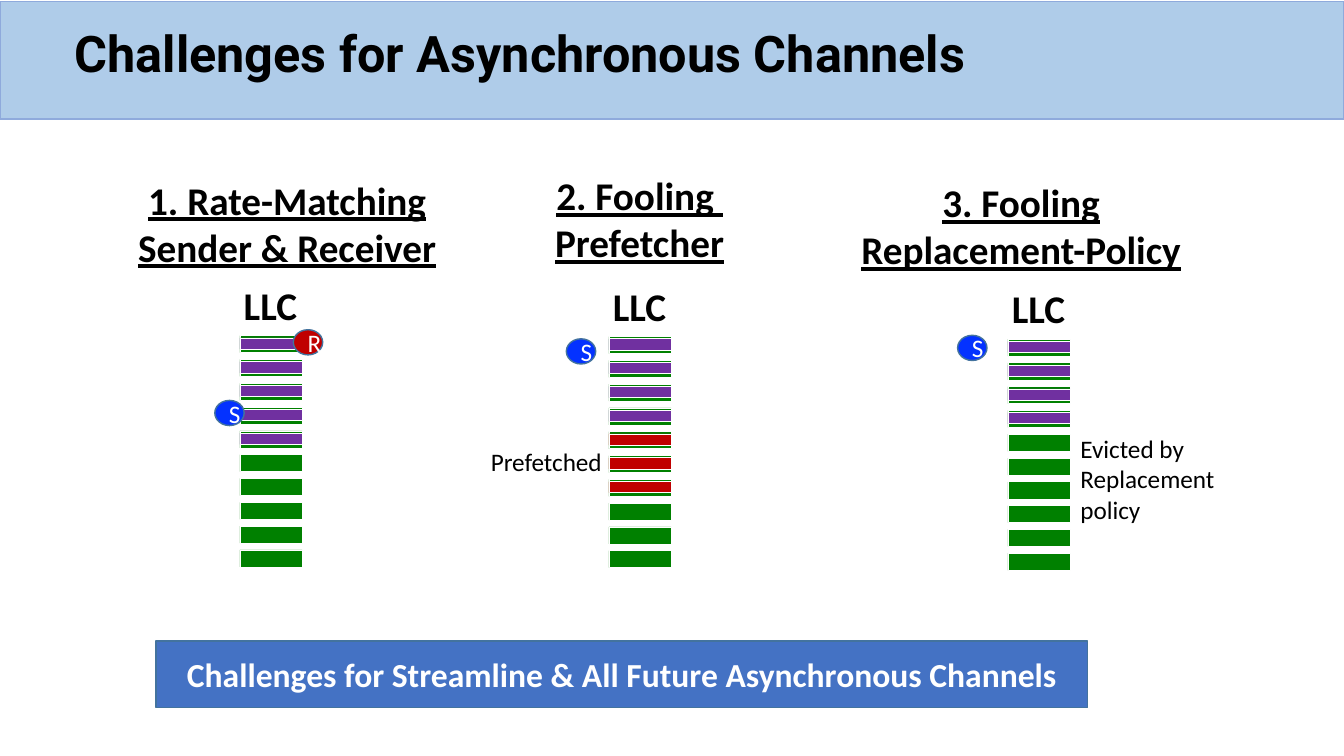
"""Build the slide on challenges for asynchronous channels."""
from dataclasses import dataclass

from pptx import Presentation
from pptx.dml.color import RGBColor
from pptx.enum.shapes import MSO_SHAPE
from pptx.enum.text import MSO_ANCHOR, MSO_AUTO_SIZE, PP_ALIGN
from pptx.util import Pt


@dataclass(frozen=True)
class Theme:
    black: str = "000000"
    white: str = "FFFFFF"
    band: str = "AFCCE9"
    band_line: str = "8FAADC"
    banner: str = "4472C4"
    outline: str = "43739E"
    cache: str = "008000"
    accessed: str = "7030A0"
    red: str = "C00000"
    sender: str = "0432FF"
    title_font: str = "Roboto"
    body_font: str = "Calibri"
    title_size: int = 36
    heading_size: int = 28
    banner_size: int = 24
    label_size: int = 18


def write_text(shape, *lines, size, color, font, bold=False, underline=False,
               align=PP_ALIGN.CENTER, anchor=MSO_ANCHOR.MIDDLE, spacing=1.0):
    frame = shape.text_frame
    frame.word_wrap = True
    frame.auto_size = MSO_AUTO_SIZE.NONE
    frame.vertical_anchor = anchor
    for index, line in enumerate(lines):
        paragraph = frame.add_paragraph() if index else frame.paragraphs[0]
        paragraph.alignment = align
        paragraph.line_spacing = spacing
        run = paragraph.add_run()
        run.text = line
        run.font.name = font
        run.font.size = Pt(size)
        run.font.bold = bold
        run.font.underline = underline
        run.font.color.rgb = RGBColor.from_string(color)


class SlideBuilder:
    line_count = 10
    line_pitch = 17
    line_width = 44.5
    line_height = 12.2
    mark_height = 8
    mark_offset = 1.6

    def __init__(self, slide, theme):
        self.slide = slide
        self.theme = theme

    def shape(self, kind, left, top, width, height, fill, line, weight=1):
        shape = self.slide.shapes.add_shape(
            kind, Pt(left), Pt(top), Pt(width), Pt(height))
        shape.shadow.inherit = False
        shape.fill.solid()
        shape.fill.fore_color.rgb = RGBColor.from_string(fill)
        shape.line.color.rgb = RGBColor.from_string(line)
        shape.line.width = Pt(weight)
        return shape

    def text(self, left, top, width, height, *lines, **style):
        box = self.slide.shapes.add_textbox(
            Pt(left), Pt(top), Pt(width), Pt(height))
        write_text(box, *lines, color=self.theme.black,
                   font=self.theme.body_font, **style)

    def title(self, text):
        theme = self.theme
        title = self.slide.shapes.title
        title.left, title.top = Pt(46), Pt(12)
        title.width, title.height = Pt(900), Pt(56)
        write_text(title, text, size=theme.title_size, color=theme.black,
                   font=theme.title_font, bold=True, align=PP_ALIGN.LEFT,
                   spacing=0.9)
        band = self.shape(MSO_SHAPE.RECTANGLE, 0, 1, 960, 84,
                          theme.band, theme.band_line)
        title.element.addprevious(band.element)

    def heading(self, left, top, width, *lines):
        self.text(left, top, width, 47.5, *lines,
                  size=self.theme.heading_size, bold=True, underline=True)

    def label(self, left, top, width, height, *lines):
        self.text(left, top, width, height, *lines,
                  size=self.theme.label_size, align=PP_ALIGN.LEFT,
                  anchor=MSO_ANCHOR.TOP)

    def cache_line(self, left, top, height, fill):
        self.shape(MSO_SHAPE.RECTANGLE, left, top, self.line_width, height,
                   fill, self.theme.white, 0.5)

    def cache(self, left, top, mark_colors):
        self.text(left - 9.5, top - 46, 62.6, 47.5, "LLC",
                  size=self.theme.heading_size, bold=True)
        for index in range(self.line_count):
            self.cache_line(left, top + index * self.line_pitch,
                            self.line_height, self.theme.cache)
        for index, color in enumerate(mark_colors):
            self.cache_line(left, top + self.mark_offset + index * self.line_pitch,
                            self.mark_height, color)

    def party(self, left, top, letter, fill):
        circle = self.shape(MSO_SHAPE.OVAL, left, top, 21, 18,
                            fill, self.theme.outline)
        write_text(circle, letter, size=self.theme.label_size,
                   color=self.theme.white, font=self.theme.body_font)

    def banner(self, text):
        theme = self.theme
        banner = self.shape(MSO_SHAPE.RECTANGLE, 111.5, 458, 665.5, 47.5,
                            theme.banner, theme.outline)
        write_text(banner, text, size=theme.banner_size, color=theme.white,
                   font=theme.body_font, bold=True)


def main():
    presentation = Presentation()
    presentation.slide_width, presentation.slide_height = Pt(960), Pt(540)
    theme = Theme()
    slide = presentation.slides.add_slide(presentation.slide_layouts[5])
    builder = SlideBuilder(slide, theme)
    builder.title("Challenges for Asynchronous Channels")

    builder.heading(74, 135.5, 262, "1. Rate-Matching", "Sender & Receiver")
    builder.cache(171.4, 239.8, [theme.accessed] * 5)
    builder.party(209.5, 235.5, "R", theme.red)
    builder.party(153.4, 286, "S", theme.sender)

    builder.heading(335.5, 132.5, 242.6, "2. Fooling ", "Prefetcher")
    builder.cache(435, 240.4, [theme.accessed] * 4 + [theme.red] * 3)
    builder.party(404.5, 242, "S", theme.sender)
    builder.label(343.5, 315.5, 100, 29, "Prefetched")

    builder.heading(598.3, 137.5, 262, "3. Fooling Replacement-Policy")
    builder.cache(720, 242.2, [theme.accessed] * 4)
    builder.party(684, 239.5, "S", theme.sender)
    builder.label(764.6, 306, 157, 72.7, "Evicted by", "Replacement policy")

    builder.banner("Challenges for Streamline & All Future Asynchronous Channels")
    presentation.save("out.pptx")


if __name__ == "__main__":
    main()
